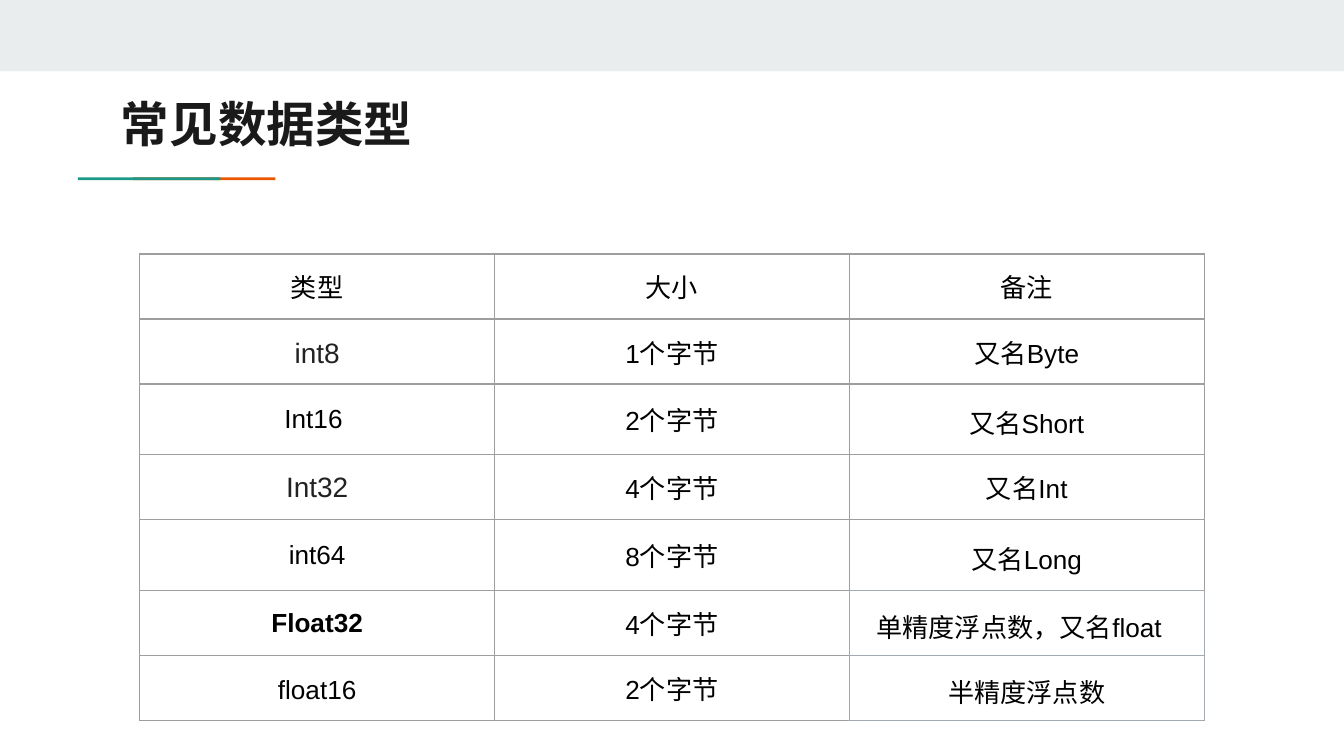
from lxml import etree
from pptx import Presentation
from pptx.dml.color import RGBColor
from pptx.enum import shapes, text
from pptx.oxml.ns import qn
from pptx.util import Inches, Pt

BAND = RGBColor(0xE9, 0xED, 0xEE)
ORANGE = RGBColor(0xEB, 0x56, 0x00)
GREEN = RGBColor(0x1A, 0x99, 0x88)
TITLE = RGBColor(0x1A, 0x1A, 0x1A)
BLACK = RGBColor(0, 0, 0)
CHARCOAL = RGBColor(0x22, 0x22, 0x22)
GRID = RGBColor(0x9E, 0x9E, 0x9E)
GRID_BLUE = RGBColor(0xA2, 0xA9, 0xB1)

HEADING = "常见数据类型"
ROWS = [
    ("类型", "大小", "备注"),
    ("int8", "1个字节", "又名Byte"),
    ("Int16 ", "2个字节", "又名Short"),
    ("Int32", "4个字节", "又名Int"),
    ("int64", "8个字节", "又名Long"),
    ("Float32", "4个字节", "单精度浮点数，又名float "),
    ("float16", "2个字节", "半精度浮点数"),
]
LARGE = {"int8", "Int32"}
BOLD = {"Float32"}
SPACED = {(1, 0), (2, 2), (4, 2), (5, 2), (6, 0), (6, 2)}
BLUE_CELLS = {(5, 2), (6, 2)}
BLUE_EDGES = {(4, 2): "B", (5, 1): "R", (6, 1): "R"}
BARS = [
    (0, 0, 10, 0.53, BAND),
    (0.99, 1.32, 1.06, 0.02, ORANGE),
    (0.58, 1.32, 1.06, 0.02, GREEN),
]
COL_W, ROW_H = 2.64, 0.42


def set_all(obj, values):
    for name, value in values.items():
        setattr(obj, name, value)


def set_font(font, color, **values):
    set_all(font, values)
    font.color.rgb = color


def set_margins(obj, x, y):
    set_all(obj, {
        "margin_left": Inches(x), "margin_right": Inches(x),
        "margin_top": Inches(y), "margin_bottom": Inches(y),
    })


def add_borders(cell, colors):
    pr = cell._tc.get_or_add_tcPr()
    for i, (side, color) in enumerate(colors.items()):
        ln = etree.Element(qn(f"a:ln{side}"), w=str(Pt(0.75)))
        fill = etree.SubElement(ln, qn("a:solidFill"))
        etree.SubElement(fill, qn("a:srgbClr"), val=str(color))
        pr.insert(i, ln)


def fill_cell(cell, r, c, value):
    blue = (r, c) in BLUE_CELLS
    cell.fill.background()
    set_margins(cell, *((0.08, 0.04) if blue else (0.1, 0.1)))
    if blue and value.endswith(" "):
        cell.margin_right = Inches(0.14)
    cell.vertical_anchor = text.MSO_ANCHOR.MIDDLE if r else text.MSO_ANCHOR.TOP
    p = cell.text_frame.paragraphs[0]
    p.alignment = text.PP_ALIGN.CENTER
    if (r, c) in SPACED:
        p.line_spacing = 1.15
    run = p.add_run()
    run.text = value
    large = value in LARGE
    set_font(run.font, CHARCOAL if large else BLACK, name="Arial",
             size=Pt(15 if large else 14), bold=value in BOLD)
    edge = BLUE_EDGES.get((r, c))
    add_borders(cell, {s: GRID_BLUE if blue or s == edge else GRID for s in "LRTB"})


def main():
    prs = Presentation()
    width = Inches(10)
    set_all(prs, {"slide_width": width, "slide_height": width * 9 // 16})
    s = prs.slides.add_slide(prs.slide_layouts[5])

    for x, y, w, h, color in BARS:
        sp = s.shapes.add_shape(shapes.MSO_SHAPE.RECTANGLE, *map(Inches, (x, y, w, h)))
        sp.shadow.inherit = False
        sp.fill.solid()
        sp.fill.fore_color.rgb = color
        sp.line.fill.background()

    title = s.shapes.title
    set_all(title, {"left": Inches(0.8), "top": Inches(0.6),
                    "width": Inches(8.41), "height": Inches(0.59)})
    tf = title.text_frame
    set_margins(tf, 0.1, 0.1)
    set_all(tf, {"word_wrap": True, "auto_size": text.MSO_AUTO_SIZE.NONE,
                 "vertical_anchor": text.MSO_ANCHOR.TOP})
    p = tf.paragraphs[0]
    p.alignment = text.PP_ALIGN.LEFT
    run = p.add_run()
    run.text = HEADING
    set_font(run.font, TITLE, name="Manrope", size=Pt(26), bold=True)

    n_rows, n_cols = len(ROWS), len(ROWS[0])
    table = s.shapes.add_table(n_rows, n_cols, Inches(1.04), Inches(1.89),
                               Inches(COL_W * n_cols), Inches(ROW_H * n_rows)).table
    set_all(table, {"first_row": False, "horz_banding": False})
    for r, row in enumerate(ROWS):
        for c, value in enumerate(row):
            fill_cell(table.cell(r, c), r, c, value)

    prs.save("out.pptx")


if __name__ == "__main__":
    main()
